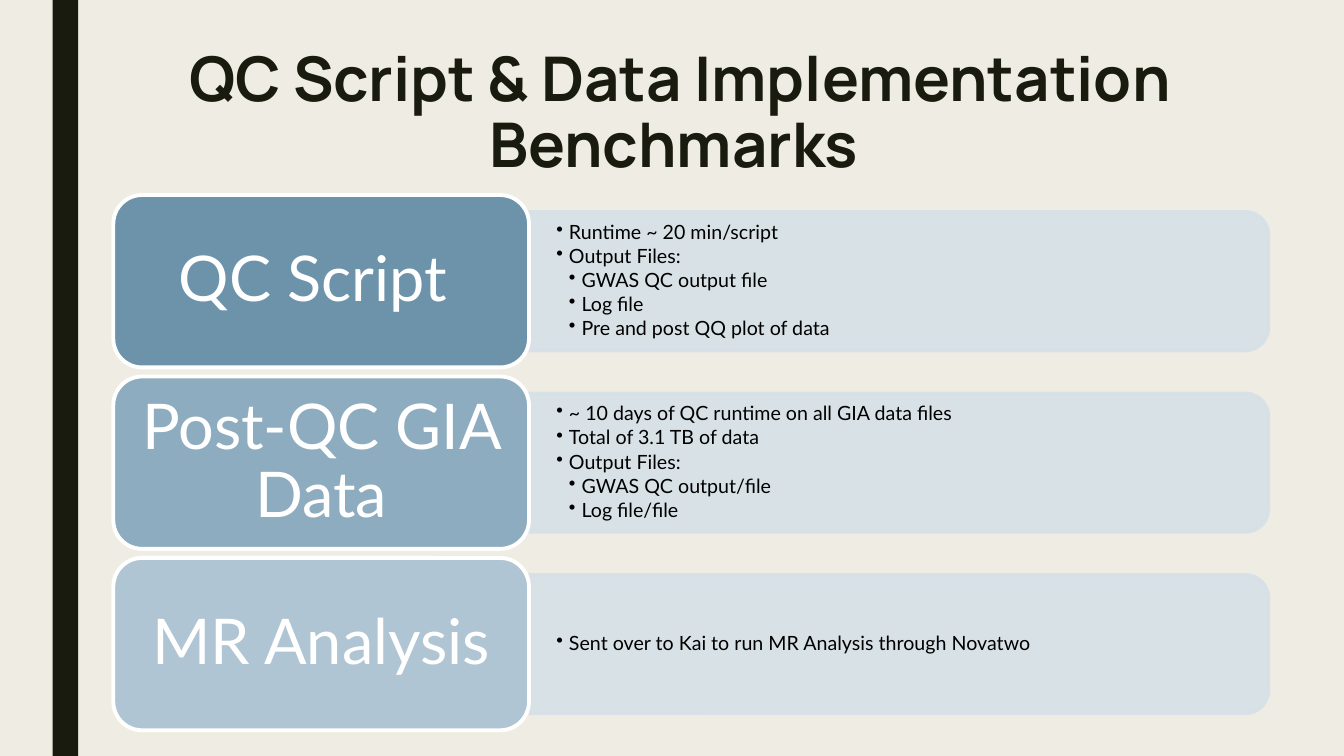
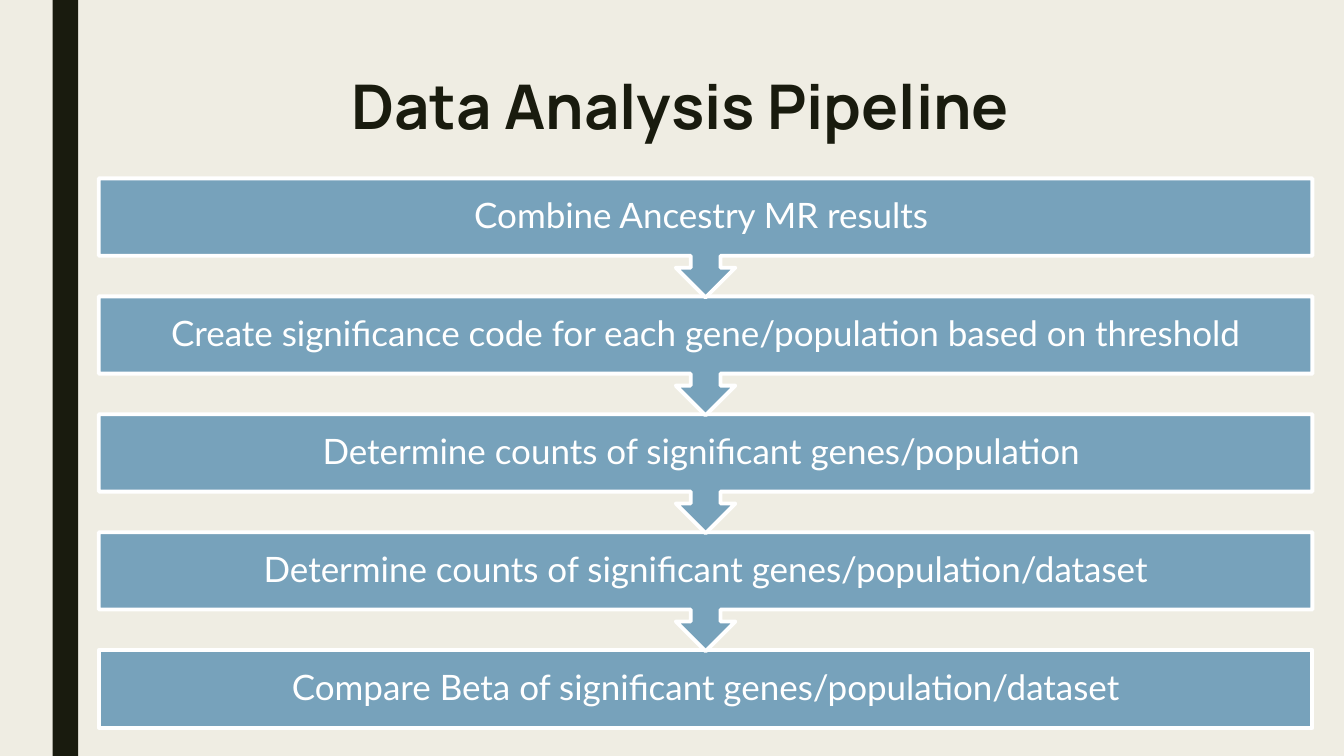
from lxml import etree
from pptx import Presentation
from pptx import util as u
from pptx.dml.color import RGBColor
from pptx.enum import shapes, text
from pptx.oxml import ns

# Shared look
CREAM = RGBColor(0xEF, 0xED, 0xE3)
INK = RGBColor(0x19, 0x1B, 0x0E)
WHITE = RGBColor(0xFF, 0xFF, 0xFF)
BLACK = RGBColor(0x00, 0x00, 0x00)
PANEL = RGBColor(0xD6, 0xE0, 0xE7)
STEP = RGBColor(0x77, 0xA2, 0xBB)
TITLE_FONT, BODY_FONT = "Manrope", "Lato"
OUTLINE = 2.75
WIDTH, HEIGHT = u.Inches(13.333), u.Inches(7.5)

# Benchmarks: label colour, label, bullets as (level, wording)
BENCHMARKS = [
    (RGBColor(0x6C, 0x93, 0xAA), "QC Script ", [
        (1, "Runtime ~ 20 min/script"),
        (1, "Output Files:"),
        (2, "GWAS QC output file"),
        (2, "Log file"),
        (2, "Pre and post QQ plot of data")]),
    (RGBColor(0x8E, 0xAC, 0xBF), "Post-QC GIA Data", [
        (1, "~ 10 days of QC runtime on all GIA data files"),
        (1, "Total of 3.1 TB of data"),
        (1, "Output Files:"),
        (2, "GWAS QC output/file"),
        (2, "Log file/file")]),
    (RGBColor(0xB0, 0xC5, 0xD3), "MR Analysis", [
        (1, "Sent over to Kai to run MR Analysis through Novatwo")]),
]

PIPELINE = [
    "Combine Ancestry MR results ",
    "Create significance code for each gene/population based on threshold",
    "Determine counts of significant genes/population ",
    "Determine counts of significant genes/population/dataset",
    "Compare Beta of significant genes/population/dataset",
]


def place(left, top, width, height):
    """Turn percentages of the slide's size into lengths."""
    return (int(WIDTH * left / 100), int(HEIGHT * top / 100),
            int(WIDTH * width / 100), int(HEIGHT * height / 100))


def add_block(slide, kind, box, fill, line=None):
    shape = slide.shapes.add_shape(kind, *box)
    shape.shadow.inherit = False
    shape.fill.solid()
    shape.fill.fore_color.rgb = fill
    if line is None:
        shape.line.fill.background()
    else:
        shape.line.color.rgb = line
        shape.line.width = u.Pt(OUTLINE)
    return shape


def set_frame(shape, horizontal, vertical):
    frame = shape.text_frame
    frame.word_wrap = True
    frame.vertical_anchor = text.MSO_ANCHOR.MIDDLE
    frame.margin_left = frame.margin_right = u.Inches(horizontal)
    frame.margin_top = frame.margin_bottom = u.Inches(vertical)
    return frame


def style_paragraph(paragraph, size, color, font=BODY_FONT, bold=False,
                    align=text.PP_ALIGN.CENTER, spacing=0.9):
    paragraph.alignment = align
    paragraph.line_spacing = spacing
    for run in paragraph.runs:
        run.font.name = font
        run.font.size = u.Pt(size)
        run.font.bold = bold
        run.font.color.rgb = color


def write_centred(shape, wording, size, horizontal, vertical):
    frame = set_frame(shape, horizontal, vertical)
    frame.text = wording
    style_paragraph(frame.paragraphs[0], size, WHITE)


def add_bullets(slide, box, items):
    frame = set_frame(slide.shapes.add_textbox(*box), 0.27, 0.14)
    for index, (level, wording) in enumerate(items):
        paragraph = frame.add_paragraph() if index else frame.paragraphs[0]
        paragraph.text = wording
        paragraph.level = level
        paragraph.space_after = u.Pt(2.1)
        style_paragraph(paragraph, 14, BLACK, align=text.PP_ALIGN.LEFT)
        properties = paragraph._p.get_or_add_pPr()
        properties.set("marL", str(u.Inches(0.125 * level)))
        properties.set("indent", str(-u.Inches(0.125)))
        bullet = etree.SubElement(properties, ns.qn("a:buChar"))
        bullet.set("char", "•")


def add_panel(slide, left, top, width, height):
    """Panel with round right corners: an upright shape turned by 90°."""
    left, top, width, height = place(left, top, width, height)
    shift = (width - height) // 2
    panel = add_block(slide, shapes.MSO_SHAPE.ROUND_2_SAME_RECTANGLE,
                      (left + shift, top - shift, height, width), PANEL, PANEL)
    panel.rotation = 90
    for color in panel._element.spPr.iter(ns.qn("a:srgbClr")):
        etree.SubElement(color, ns.qn("a:alpha")).set("val", "90000")


def add_titled_slide(presentation, title, title_top):
    slide = presentation.slides.add_slide(presentation.slide_layouts[6])
    slide.background.fill.solid()
    slide.background.fill.fore_color.rgb = CREAM
    add_block(slide, shapes.MSO_SHAPE.RECTANGLE, place(3.92, 0, 1.9, 100), INK)
    box = slide.shapes.add_textbox(*place(11.25, title_top, 78.75, 21.6))
    frame = set_frame(box, 0.1, 0.05)
    frame.text = title
    style_paragraph(frame.paragraphs[0], 44, INK, TITLE_FONT, True, spacing=0.89)
    return slide


def add_benchmarks(slide):
    first, pitch, label_height = 25.8, 24, 22.8
    panel_height, bullets_height = 18.3, 16.5
    for index, (color, label, items) in enumerate(BENCHMARKS):
        top = first + index * pitch
        middle = top + label_height / 2
        add_panel(slide, 39.37, middle - panel_height / 2, 55, panel_height)
        add_bullets(slide, place(39.37, middle - bullets_height / 2,
                                 54.5, bullets_height), items)
        shape = add_block(slide, shapes.MSO_SHAPE.ROUNDED_RECTANGLE,
                          place(8.43, top, 30.93, label_height), color, WHITE)
        write_centred(shape, label, 45, 0.19, 0.09)


def add_pipeline(slide):
    first, pitch = 23.6, 15.6
    last = len(PIPELINE) - 1
    # From the bottom up, so that each arrow tip lies over the next step
    for index in range(last, -1, -1):
        if index == last:
            kind, height = shapes.MSO_SHAPE.RECTANGLE, 10.25
        else:
            kind, height = shapes.MSO_SHAPE.DOWN_ARROW_CALLOUT, 15.75
        shape = add_block(slide, kind, place(7.35, first + index * pitch, 90.3, height),
                          STEP, WHITE)
        write_centred(shape, PIPELINE[index], 25, 0.19, 0.19)


def main():
    presentation = Presentation()
    presentation.slide_width, presentation.slide_height = WIDTH, HEIGHT
    add_benchmarks(add_titled_slide(
        presentation, "QC Script & Data Implementation Benchmarks ", 4.4))
    add_pipeline(add_titled_slide(presentation, "Data Analysis Pipeline", 3.75))
    presentation.save("out.pptx")


if __name__ == "__main__":
    main()
